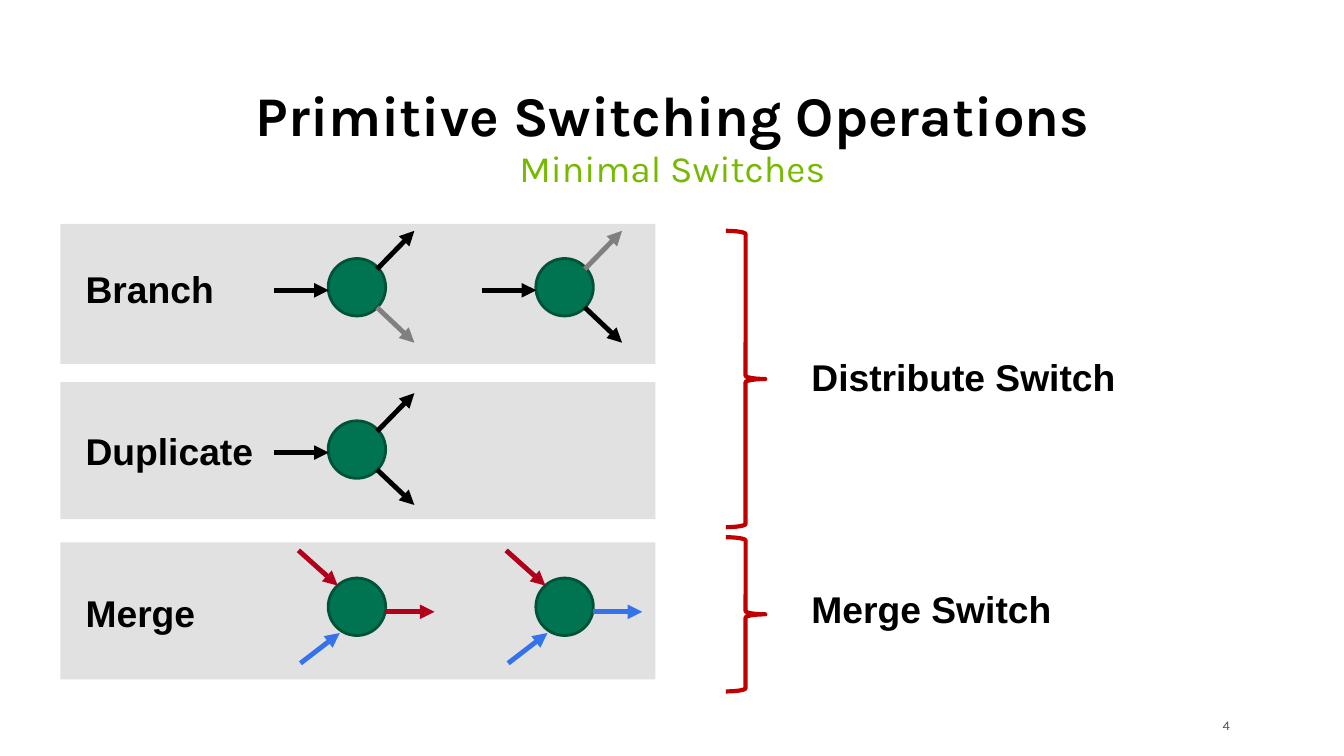
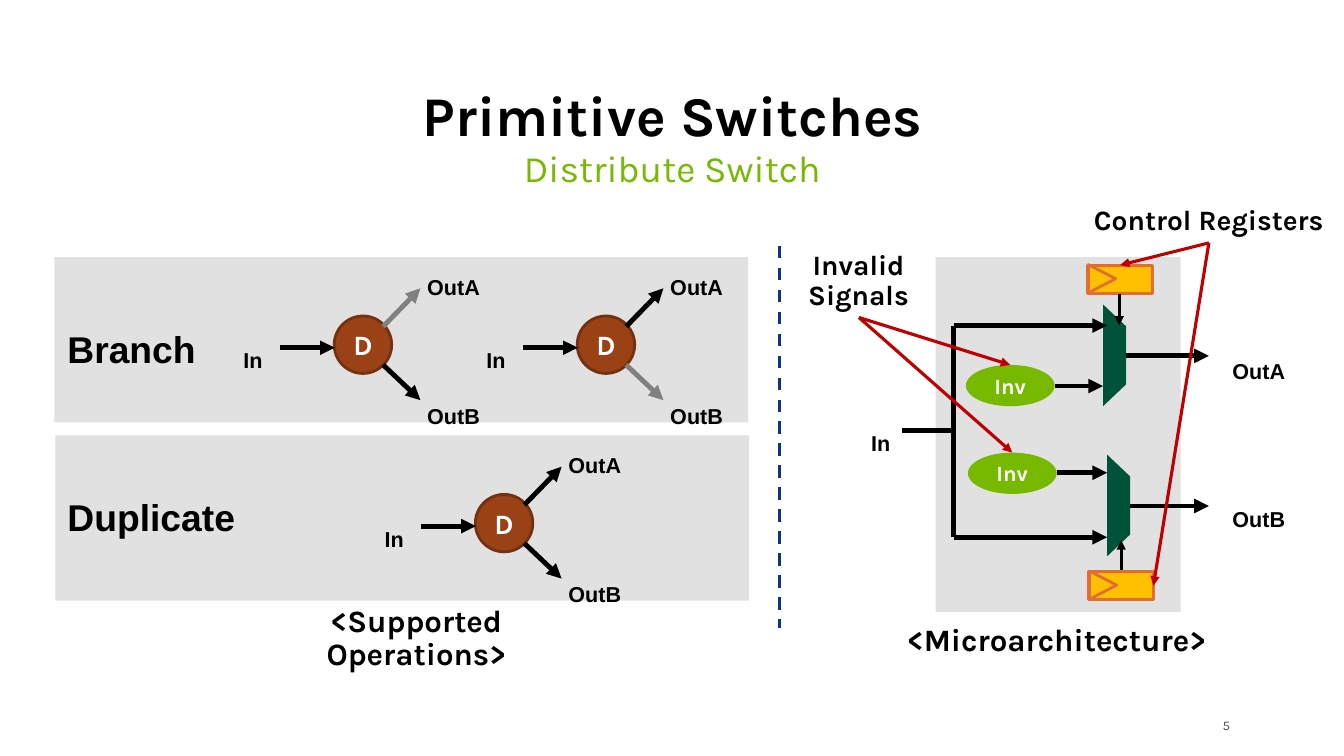
from lxml import etree
from pptx import Presentation
from pptx.dml.color import RGBColor
from pptx.enum.dml import MSO_LINE
from pptx.enum.shapes import MSO_CONNECTOR, MSO_SHAPE as Form
from pptx.enum.text import MSO_ANCHOR as Anchor, MSO_AUTO_SIZE, PP_ALIGN as Align
from pptx.oxml.ns import qn
from pptx.util import Inches, Pt

# Shared look
WIDE, HIGH = 13.33, 7.5
HEAD, BODY = "Karla", "Arial"
BLACK, WHITE, GRAY, PANEL = "000000", "FFFFFF", "808080", "E1E1E1"
GREEN, DARK, LIME = "007450", "005338", "76B900"
BROWN, RUST = "9A4216", "723110"
GOLD, ORANGE, NAVY = "FFC000", "E26D32", "0D3481"
RED, BLUE, CRIMSON = "B1001C", "3673EB", "C00000"
FIRST = 4
BALL = 0.57
THICK, THIN = 3.5, 2.25

# Arrows and labels around a ball, measured from its centre
SPLIT = [(-0.82, 0.03, -0.28, 0.03), (0.2, -0.18, 0.57, -0.56), (0.2, 0.2, 0.57, 0.55)]
MERGE = [(-0.58, -0.56, -0.19, -0.21), (-0.56, 0.56, -0.17, 0.26), (0.28, 0.05, 0.77, 0.05)]
PORTS = [("In", -1.34, -0.27, 0.5), ("OutA", 0.48, -1, 0.84), ("OutB", 0.48, 0.28, 0.84)]

# Slide 1: label, panel top and height, label top, ball height, arrows, colours per ball
BALL_X, STEP = 3.54, 2.06
ROWS = [
    ("Branch", 2.22, 1.39, 2.59, 2.85, SPLIT, [(BLACK, BLACK, GRAY), (BLACK, GRAY, BLACK)]),
    ("Duplicate", 3.79, 1.36, 4.2, 4.46, SPLIT, [(BLACK, BLACK, BLACK)]),
    ("Merge", 5.38, 1.36, 5.81, 6.02, MERGE, [(RED, BLUE, RED), (RED, BLUE, BLUE)]),
]
BRACES = [("Distribute Switch", 2.29, 2.94, 3.47), ("Merge Switch", 5.33, 1.53, 5.77)]

# Slide 2: label, panel left and top, label top, balls
MODES = [
    ("Branch", 0.54, 2.55, 3.19,
     [(3.6, 3.42, (BLACK, GRAY, BLACK)), (6.01, 3.42, (BLACK, BLACK, GRAY))]),
    ("Duplicate", 0.55, 4.32, 4.85, [(5, 5.19, (BLACK, BLACK, BLACK))]),
]
WIRES = [
    (9.46, 3.23, 10.98, 3.23), (10.46, 3.83, 10.94, 3.83),
    (10.48, 4.69, 10.98, 4.69), (9.46, 5.33, 10.98, 5.33),
    (11.17, 3.53, 11.99, 3.53), (11.21, 5.02, 11.99, 5.02),
]
TRUNK = [(9.46, 5.33, 9.46, 3.23), (8.95, 4.27, 9.46, 4.27)]
MUXES = [(10.55, 3.41), (10.59, 4.9)]
REGS = [(10.8, 5.67, (11.12, 5.65, 11.12, 5.36)), (10.79, 2.63, (11.1, 2.92, 11.1, 3.23))]
INVS = [(9.58, 3.62), (9.6, 4.49)]
PINS = [("OutA", 11.99, 3.25, 0.99), ("OutB", 11.99, 4.72, 0.99), ("In", 8.44, 3.97, 0.59)]
NOTES = [
    ("<Supported Operations>", (2.83, 6.12, 2.6, 0.44), 22.2),
    ("<Microarchitecture>", (8.79, 6.14, 3.38, 0.44), 22.2),
    ("Control Registers", (10.59, 2, 2.8, 0.4), 20),
    ("Invalid Signals", (7.87, 2.44, 1.29, 0.71), 20),
]
CALLS = [
    (11.99, 2.41, 11.11, 2.63), (11.99, 2.41, 11.44, 5.81),
    (8.52, 3.15, 10.02, 3.62), (8.52, 3.15, 10.04, 4.49),
]


def tint(code):
    return RGBColor.from_string(code)


def place(item, box):
    item.left, item.top, item.width, item.height = map(Inches, box)


def write(frame, text, size=26.6, font=BODY, color=BLACK, bold=True, align=Align.LEFT,
          anchor=Anchor.TOP, lead=1.0, after=0, inset=None, drop=0):
    frame.word_wrap = True
    frame.auto_size = MSO_AUTO_SIZE.NONE
    frame.vertical_anchor = anchor
    if inset is not None:
        frame.margin_left = frame.margin_right = Inches(inset)
        frame.margin_top = frame.margin_bottom = Inches(inset)
    para = frame.paragraphs[0]
    para.alignment, para.line_spacing = align, lead
    para.space_before, para.space_after = Pt(0), Pt(after)
    run = para.add_run()
    run.text = text
    run.font.name, run.font.size, run.font.bold = font, Pt(size), bold
    run.font.color.rgb = tint(color)
    if drop:
        run._r.get_or_add_rPr().set("baseline", str(-drop * 1000))
    return para


def label(slide, text, box, **style):
    area = slide.shapes.add_textbox(*map(Inches, box))
    return write(area.text_frame, text, **style)


def port(slide, text, box):
    label(slide, text, box, align=Align.CENTER, drop=25)


def shape(slide, form, box, fill=None, edge=None, width=2, turn=0):
    item = slide.shapes.add_shape(form, *map(Inches, box))
    item.shadow.inherit = False
    item.rotation = turn
    if fill:
        item.fill.solid()
        item.fill.fore_color.rgb = tint(fill)
    else:
        item.fill.background()
    if edge:
        item.line.color.rgb = tint(edge)
        item.line.width = Pt(width)
    else:
        item.line.fill.background()
    return item


def line(slide, ends, color=BLACK, width=THICK, arrow=True, dash=None):
    item = slide.shapes.add_connector(MSO_CONNECTOR.STRAIGHT, *map(Inches, ends))
    item.line.color.rgb = tint(color)
    item.line.width = Pt(width)
    if dash:
        item.line.dash_style = dash
    props = item._element.spPr
    if arrow:
        etree.SubElement(props.find(qn("a:ln")), qn("a:tailEnd"), type="triangle")
    etree.SubElement(props, qn("a:effectLst"))


def ball(slide, x, y, arrows, colors, fill=GREEN, edge=DARK):
    box = (x - BALL / 2, y - BALL / 2, BALL, BALL)
    item = shape(slide, Form.OVAL, box, fill, edge)
    for (x1, y1, x2, y2), color in zip(arrows, colors):
        line(slide, (x + x1, y + y1, x + x2, y + y2), color)
    return item


def badge(item, text, size):
    write(item.text_frame, text, size=size, font=HEAD, color=WHITE,
          align=Align.CENTER, anchor=Anchor.MIDDLE, inset=0)


def start(deck, title, sub):
    slide = deck.slides.add_slide(deck.slide_layouts[1])
    head, body = slide.placeholders
    place(head, (0.61, 0.8, 12.12, 0.72))
    place(body, (0.61, 1.44, 12.12, 0.64))
    style = dict(font=HEAD, align=Align.CENTER, lead=0.9)
    write(head.text_frame, title, size=40, anchor=Anchor.BOTTOM, **style)
    para = write(body.text_frame, sub, color=LIME, bold=False, after=10, **style)
    props = para._p.get_or_add_pPr()
    props.set("marL", "0")
    props.set("indent", "0")
    etree.SubElement(props, qn("a:buNone"))
    # Slide number as a live field
    num = label(slide, str(FIRST + len(deck.slides) - 1), (11.86, 7.1, 0.34, 0.2), size=9.4,
                font=HEAD, color="505050", bold=False, align=Align.RIGHT,
                anchor=Anchor.MIDDLE, inset=0)
    run = num.runs[0]._r
    field = etree.Element(qn("a:fld"), id="{B6F15528-21DE-4FAA-801E-634DDDAF4B2B}",
                          type="slidenum")
    field.extend(list(run))
    num._p.replace(run, field)
    return slide


def operations(deck):
    slide = start(deck, "Primitive Switching Operations", "Minimal Switches")
    for name, top, high, text_y, y, arrows, balls in ROWS:
        shape(slide, Form.RECTANGLE, (0.6, top, 5.9, high), PANEL)
        label(slide, name, (0.75, text_y, 1.92, 0.57))
        for col, colors in enumerate(balls):
            ball(slide, BALL_X + col * STEP, y, arrows, colors)
    for name, top, high, text_y in BRACES:
        shape(slide, Form.RIGHT_BRACE, (7.2, top, 0.39, high), edge=CRIMSON, width=3)
        label(slide, name, (7.95, text_y, 3.37, 0.57))


def switches(deck):
    slide = start(deck, "Primitive Switches", "Distribute Switch")
    # Supported operations
    for name, left, top, text_y, balls in MODES:
        shape(slide, Form.RECTANGLE, (left, top, 6.88, 1.64), PANEL)
        label(slide, name, (0.57, text_y, 1.92, 0.57))
        for x, y, colors in balls:
            badge(ball(slide, x, y, SPLIT, colors, BROWN, RUST), "D", 20)
            for text, dx, dy, wide in PORTS:
                port(slide, text, (x + dx, y + dy, wide, 0.6))
    line(slide, (7.73, 2.44, 7.73, 6.23), NAVY, THIN, arrow=False, dash=MSO_LINE.DASH)
    # Microarchitecture
    shape(slide, Form.RECTANGLE, (9.28, 2.55, 2.43, 3.52), PANEL)
    for left, top in MUXES:
        mux = shape(slide, Form.TRAPEZOID, (left, top, 1.01, 0.23), DARK, turn=90)
        mux.adjustments[0] = 0.95
    for ends in WIRES:
        line(slide, ends)
    for ends in TRUNK:
        line(slide, ends, arrow=False)
    for left, top, ends in REGS:
        shape(slide, Form.RECTANGLE, (left, top, 0.64, 0.28), GOLD, ORANGE)
        shape(slide, Form.ISOSCELES_TRIANGLE, (left, top, 0.28, 0.27), GOLD, ORANGE, turn=90)
        line(slide, ends, width=THIN)
    for left, top in INVS:
        badge(shape(slide, Form.OVAL, (left, top, 0.88, 0.41), LIME), "Inv", 15.6)
    for text, left, top, wide in PINS:
        port(slide, text, (left, top, wide, 0.71))
    # Captions and callouts
    for text, box, size in NOTES:
        label(slide, text, box, size=size, font=HEAD, align=Align.CENTER,
              anchor=Anchor.MIDDLE, lead=0.9)
    for ends in CALLS:
        line(slide, ends, CRIMSON, THIN)


def main():
    deck = Presentation()
    deck.slide_width, deck.slide_height = Inches(WIDE), Inches(HIGH)
    deck.element.set("firstSlideNum", str(FIRST))
    operations(deck)
    switches(deck)
    deck.save("out.pptx")


if __name__ == "__main__":
    main()
